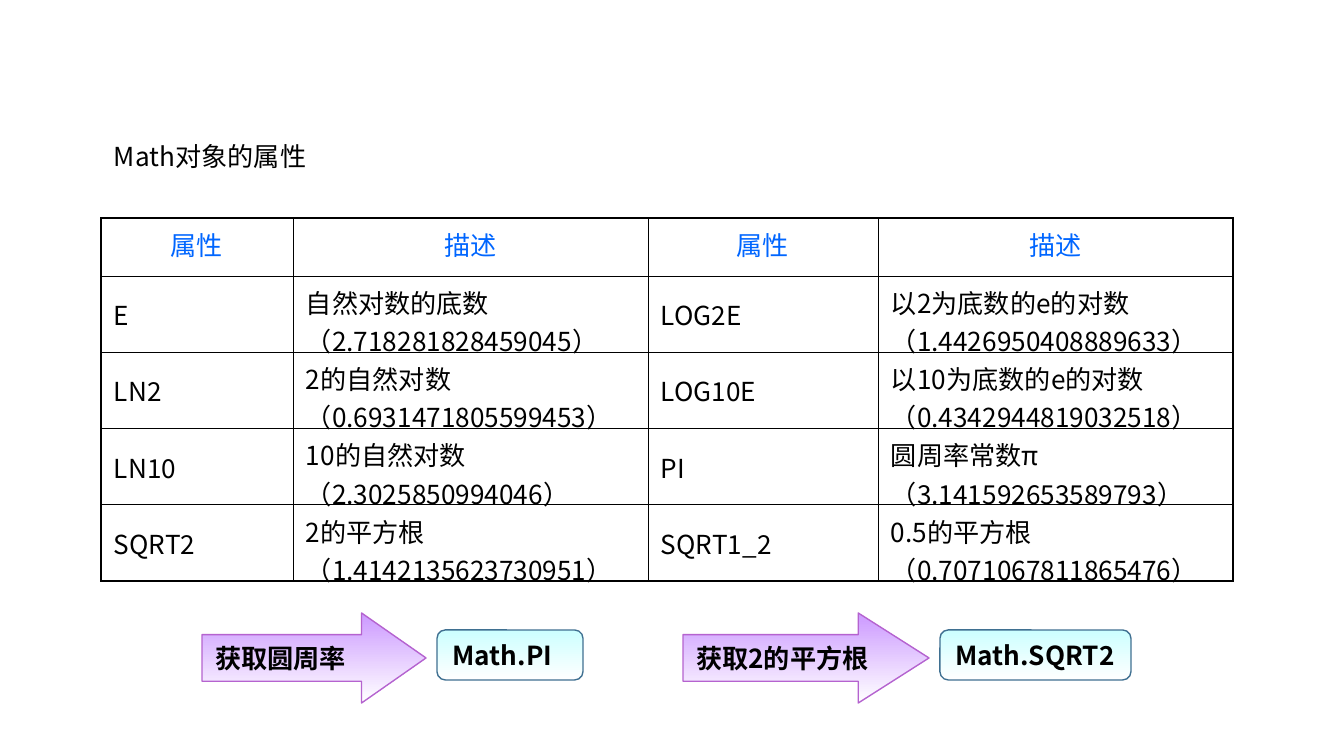
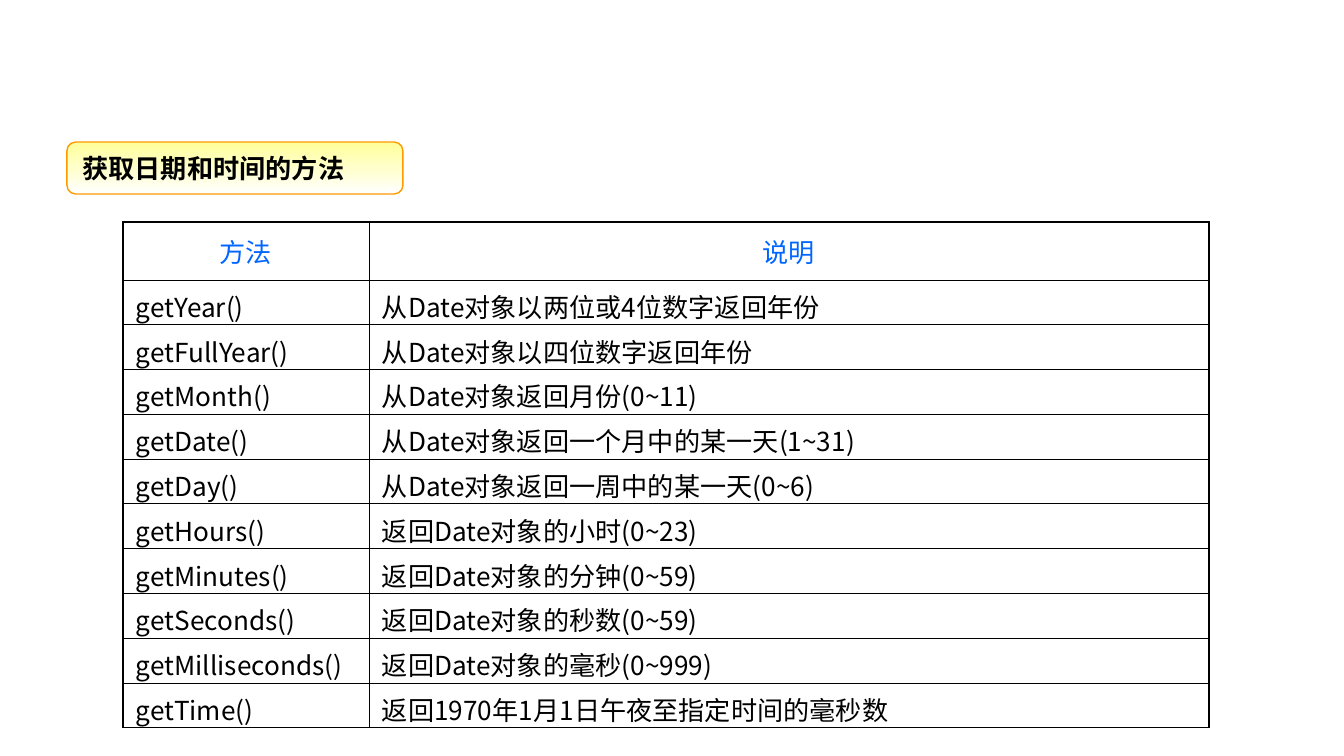
import dataclasses

import pptx
import pptx.dml.color
import pptx.enum.shapes
import pptx.enum.text
import pptx.oxml
import pptx.oxml.ns
import pptx.util

SHAPES = pptx.enum.shapes.MSO_SHAPE
ANCHOR = pptx.enum.text.MSO_ANCHOR
ALIGN = pptx.enum.text.PP_ALIGN
FIT = pptx.enum.text.MSO_AUTO_SIZE


@dataclasses.dataclass(frozen=True)
class Theme:
    font: str = "Noto Sans CJK JP"
    size: int = 14
    text: str = "000000"
    header: str = "0066FF"
    fade: str = "FFFFFF"
    code: tuple = ("CCFFFF", "3F7091")
    arrow: tuple = ("CC99FF", "B563CF")
    heading: tuple = ("FFFF99", "FF9900")
    outline: float = 0.75
    grid: float = 0.45


THEME = Theme()
SLIDE_SIZE = (1344, 756)
MARGIN_X, MARGIN_Y = 13, 7

# Content of slide 1
MATH_TITLE = "Math对象的属性"
MATH_ROWS = [
    ("属性", "描述", "属性", "描述"),
    ("E", "自然对数的底数（2.718281828459045）",
     "LOG2E", "以2为底数的e的对数（1.4426950408889633）"),
    ("LN2", "2的自然对数（0.6931471805599453）",
     "LOG10E", "以10为底数的e的对数（0.4342944819032518）"),
    ("LN10", "10的自然对数（2.3025850994046）",
     "PI", "圆周率常数π（3.141592653589793）"),
    ("SQRT2", "2的平方根（1.4142135623730951）",
     "SQRT1_2", "0.5的平方根（0.7071067811865476）"),
]
# arrow label, arrow left, arrow width, head ratio, code, code width
MATH_EXAMPLES = [
    ("获取圆周率", 202, 224, 0.716, "Math.PI", 146),
    ("获取2的平方根", 683, 246, 0.786, "Math.SQRT2", 191),
]

# Content of slide 2
DATE_TITLE = "获取日期和时间的方法"
DATE_ROWS = [
    ("方法", "说明"),
    ("getYear()", "从Date对象以两位或4位数字返回年份"),
    ("getFullYear()", "从Date对象以四位数字返回年份"),
    ("getMonth()", "从Date对象返回月份(0~11)"),
    ("getDate()", "从Date对象返回一个月中的某一天(1~31)"),
    ("getDay()", "从Date对象返回一周中的某一天(0~6)"),
    ("getHours()", "返回Date对象的小时(0~23)"),
    ("getMinutes()", "返回Date对象的分钟(0~59)"),
    ("getSeconds()", "返回Date对象的秒数(0~59)"),
    ("getMilliseconds()", "返回Date对象的毫秒(0~999)"),
    ("getTime()", "返回1970年1月1日午夜至指定时间的毫秒数"),
]


def px(length):
    return pptx.util.Emu(round(length * 914400 / 134.4))


def rgb(value):
    return pptx.dml.color.RGBColor.from_string(value)


def write(frame, text, color=THEME.text, bold=False, align=ALIGN.LEFT):
    paragraph = frame.paragraphs[0]
    paragraph.alignment = align
    run = paragraph.add_run()
    run.text = text
    run.font.name = THEME.font
    run.font.size = pptx.util.Pt(THEME.size)
    run.font.bold = bold
    run.font.color.rgb = rgb(color)
    east_asian = pptx.oxml.parse_xml(
        f'<a:ea {pptx.oxml.ns.nsdecls("a")} typeface="{THEME.font}"/>')
    run.font._element.append(east_asian)


def set_margins(target):
    target.margin_left = target.margin_right = px(MARGIN_X)
    target.margin_top = target.margin_bottom = px(MARGIN_Y)


def add_label(slide, kind, box, colors, text, adjustments, anchor, wrap=False):
    """Add a preset shape with a fading fill and bold text."""
    shape = slide.shapes.add_shape(kind, *map(px, box))
    shape.shadow.inherit = False
    for index, value in enumerate(adjustments):
        shape.adjustments[index] = value
    fill_color, line_color = colors
    shape.fill.gradient()
    shape.fill.gradient_angle = 270
    for stop, color in zip(shape.fill.gradient_stops, (fill_color, THEME.fade)):
        stop.color.rgb = rgb(color)
    shape.line.color.rgb = rgb(line_color)
    shape.line.width = pptx.util.Pt(THEME.outline)
    frame = shape.text_frame
    set_margins(frame)
    frame.word_wrap = wrap
    frame.vertical_anchor = anchor
    write(frame, text, bold=True)


def set_borders(cell, widths):
    """Draw the four cell borders; widths are in points, keyed by L, R, T, B."""
    properties = cell._tc.get_or_add_tcPr()
    for index, side in enumerate("LRTB"):
        width = pptx.util.Pt(widths[side])
        border = pptx.oxml.parse_xml(
            f'<a:ln{side} {pptx.oxml.ns.nsdecls("a")} w="{width}"><a:solidFill>'
            f'<a:srgbClr val="{THEME.text}"/></a:solidFill></a:ln{side}>')
        properties.insert(index, border)


def add_grid(slide, left, top, widths, heights, rows, frame_width,
             header_anchor, middle_columns=()):
    """Add a table with a frame, thin inner lines and a coloured header row."""
    graphic = slide.shapes.add_table(
        len(rows), len(widths), px(left), px(top), px(sum(widths)), px(sum(heights)))
    table = graphic.table
    table.first_row = table.horz_banding = False
    for column, width in zip(table.columns, widths):
        column.width = px(width)
    for row, height in zip(table.rows, heights):
        row.height = px(height)
    last_row, last_column = len(rows) - 1, len(widths) - 1
    for r, texts in enumerate(rows):
        for c, text in enumerate(texts):
            cell = table.cell(r, c)
            set_margins(cell)
            cell.fill.background()
            if r == 0:
                cell.vertical_anchor = header_anchor
                write(cell.text_frame, text, THEME.header, align=ALIGN.CENTER)
            else:
                if c in middle_columns:
                    cell.vertical_anchor = ANCHOR.MIDDLE
                else:
                    # Let tight rows keep their height
                    cell.vertical_anchor = ANCHOR.TOP
                    cell.margin_bottom = px(-MARGIN_Y)
                write(cell.text_frame, text)
            edges = {"L": c == 0, "R": c == last_column, "T": r == 0, "B": r == last_row}
            set_borders(cell, {side: frame_width if outer else THEME.grid
                               for side, outer in edges.items()})


def build_math_slide(slide):
    # Property table
    add_grid(slide, 101, 218, [192, 355, 230, 355], [58] + [76] * 4, MATH_ROWS,
             1.08, ANCHOR.TOP, middle_columns=(0, 2))

    # Table title
    title = slide.shapes.add_textbox(*map(px, (101, 133, 269, 46)))
    set_margins(title.text_frame)
    title.text_frame.word_wrap = True
    title.text_frame.auto_size = FIT.SHAPE_TO_FIT_TEXT
    write(title.text_frame, MATH_TITLE)

    # Examples: an arrow that points at its code
    arrow_top, arrow_height, code_height, gap = 613, 90, 50, 11
    code_top = arrow_top + (arrow_height - code_height) // 2 - 3
    for label, left, width, head, code, code_width in MATH_EXAMPLES:
        add_label(slide, SHAPES.ROUNDED_RECTANGLE,
                  (left + width + gap, code_top, code_width, code_height),
                  THEME.code, code, [0.167], ANCHOR.TOP, wrap=True)
        add_label(slide, SHAPES.RIGHT_ARROW, (left, arrow_top, width, arrow_height),
                  THEME.arrow, label, [0.519, head], ANCHOR.MIDDLE)


def build_date_slide(slide):
    # Method table
    add_grid(slide, 123, 222, [246, 840], [58] + [44.8] * 10, DATE_ROWS,
             THEME.outline, ANCHOR.MIDDLE)

    # Heading
    add_label(slide, SHAPES.ROUNDED_RECTANGLE, (67, 142, 336, 52),
              THEME.heading, DATE_TITLE, [0.167], ANCHOR.MIDDLE)


def main():
    presentation = pptx.Presentation()
    presentation.slide_width, presentation.slide_height = map(px, SLIDE_SIZE)
    blank = presentation.slide_layouts[6]
    for build in (build_math_slide, build_date_slide):
        build(presentation.slides.add_slide(blank))
    presentation.save("out.pptx")


if __name__ == "__main__":
    main()
